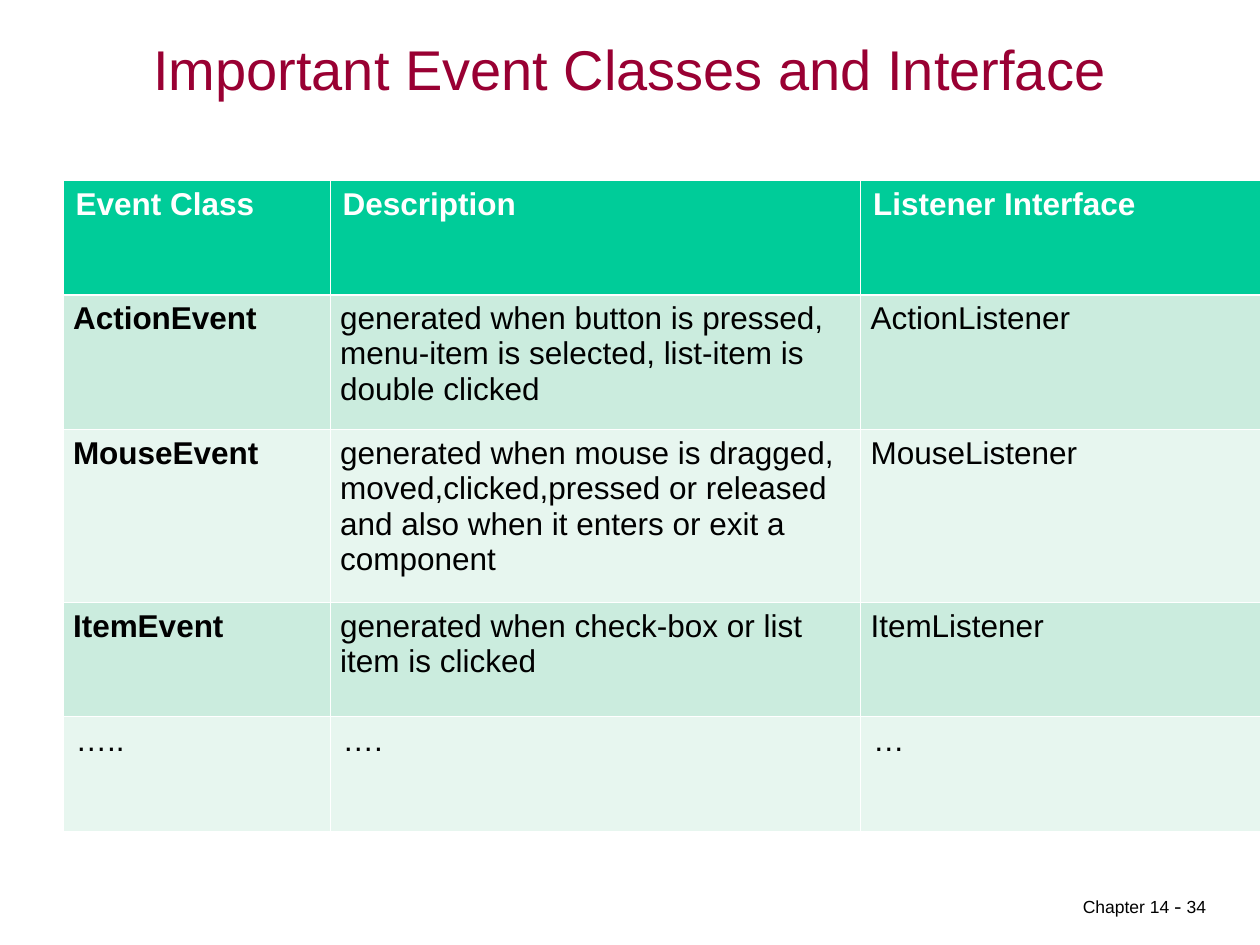
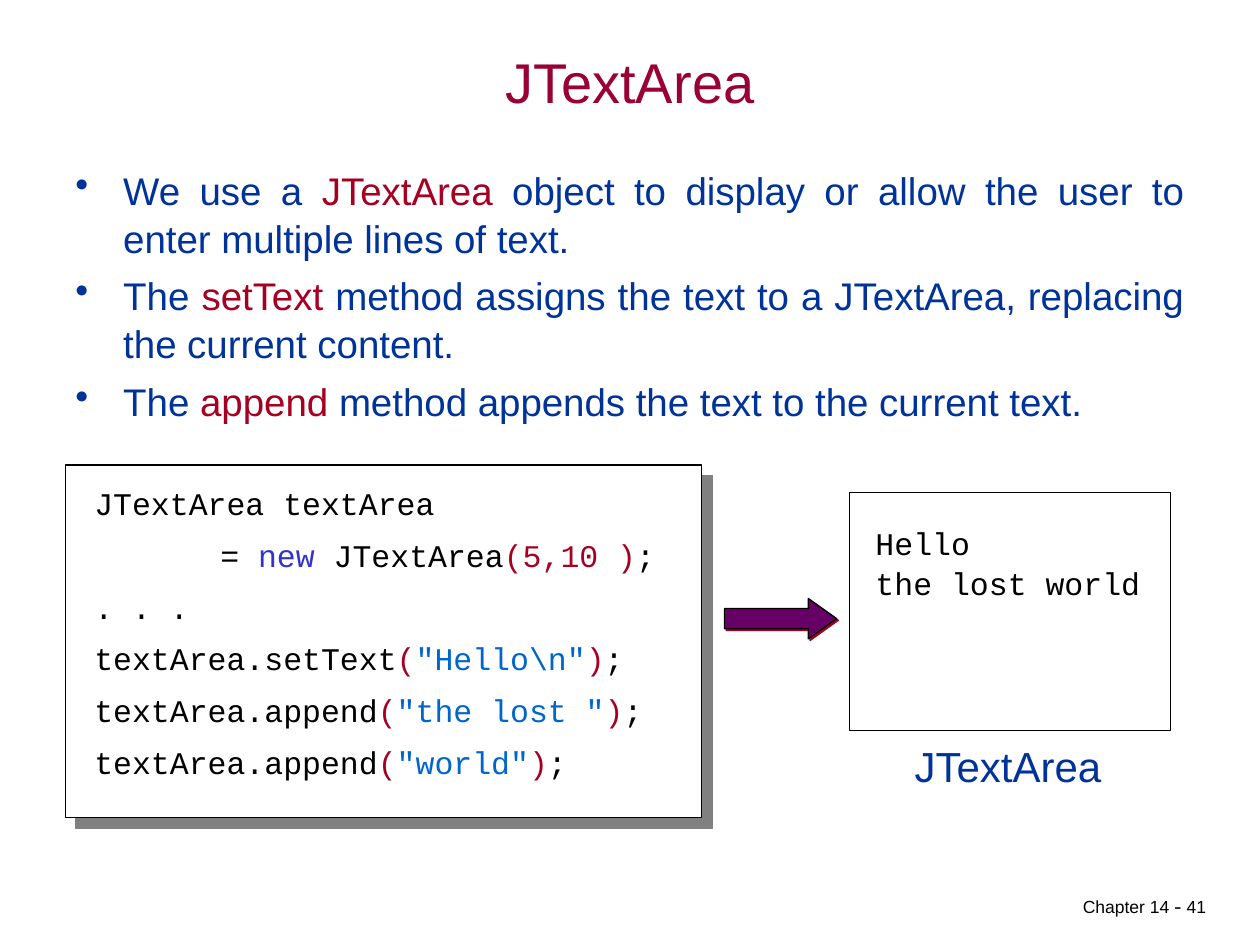
"""Build two slides on Java events: a table of event classes and the JTextArea component."""
from typing import NamedTuple

from lxml import etree
from pptx import Presentation
from pptx import util as u
from pptx.dml.color import RGBColor
from pptx.enum import shapes, text
from pptx.oxml.ns import qn

BLACK, WHITE = "000000", "FFFFFF"
MAROON, NAVY, RED = "990033", "003399", "A50021"
KEYWORD, LITERAL = "3333CC", "0066CC"
HEADER, BANDS = "00CC99", ("CBECDE", "E7F6EF")
SANS, MONO, SERIF = "Arial", "Courier New", "Times New Roman"
ALIGN, ANCHOR = text.PP_ALIGN, text.MSO_ANCHOR


class Box(NamedTuple):
    """Place of an object, in inches."""
    left: float
    top: float
    width: float
    height: float

    def emu(self) -> list:
        """Return the four lengths."""
        return [u.Inches(v) for v in self]


class Run(NamedTuple):
    """Piece of text that may differ from its paragraph's format."""
    words: str
    color: str = ""
    font: str = ""
    size: float = 0


class Shadow(NamedTuple):
    """Hard shadow cast to the lower right."""
    color: str
    distance: float


class Panel(NamedTuple):
    """Outlined preset shape."""
    kind: int
    box: Box
    fill: str = ""
    shadow: Shadow | None = None


def rgb(value: str) -> RGBColor:
    """Turn a hex string into a colour."""
    return RGBColor.from_string(value)


def sub(parent, tag: str, **attrs):
    """Append an XML child with attributes."""
    return etree.SubElement(parent, qn(tag), {k: str(v) for k, v in attrs.items()})


def write(tf, paragraphs, *, size=18, color=BLACK, font=SANS, bold=False, align=ALIGN.LEFT,
          spacing=None, before=0, bullet="", indents=None) -> None:
    """Fill a text frame with paragraphs, each a string or a list of runs."""
    for i, content in enumerate(paragraphs):
        p = tf.paragraphs[0] if i == 0 else tf.add_paragraph()
        p.alignment, p.space_before = align, u.Pt(before)
        if spacing:
            p.line_spacing = spacing
        pPr = p._p.get_or_add_pPr()
        if bullet:
            pPr.set("marL", str(u.Inches(0.38)))
            pPr.set("indent", str(-u.Inches(0.38)))
            sub(sub(pPr, "a:buClr"), "a:srgbClr", val=color)
            sub(pPr, "a:buChar", char=bullet)
        elif indents and i in indents:
            pPr.set("marL", str(u.Inches(indents[i])))
        for run in [Run(content)] if isinstance(content, str) else content:
            r = p.add_run()
            r.text = run.words
            r.font.name, r.font.size = run.font or font, u.Pt(run.size or size)
            r.font.bold = bold
            r.font.color.rgb = rgb(run.color or color)


def add_text(s, box: Box, paragraphs, wrap=True, anchor=ANCHOR.TOP, **fmt) -> None:
    """Add a text box."""
    tf = s.shapes.add_textbox(*box.emu()).text_frame
    tf.word_wrap, tf.vertical_anchor = wrap, anchor
    write(tf, paragraphs, **fmt)


def add_panel(s, panel: Panel):
    """Add an outlined shape with its fill and shadow."""
    sp = s.shapes.add_shape(panel.kind, *panel.box.emu())
    sp.shadow.inherit = False
    sp.line.color.rgb, sp.line.width = rgb(BLACK), u.Pt(0.75)
    if panel.fill:
        sp.fill.solid()
        sp.fill.fore_color.rgb = rgb(panel.fill)
    else:
        sp.fill.background()
    if panel.shadow:
        effects = sp._element.spPr.find(qn("a:effectLst"))
        cast = sub(effects, "a:outerShdw", dist=u.Pt(panel.shadow.distance),
                   dir=45 * 60000, algn="ctr", rotWithShape=0)
        sub(cast, "a:srgbClr", val=panel.shadow.color)
    return sp


def add_slide(prs, title: str, box: Box, number: int):
    """Add a slide with its title and page footer."""
    s = prs.slides.add_slide(prs.slide_layouts[5])
    sp = s.shapes.title
    sp.left, sp.top, sp.width, sp.height = box.emu()
    tf = sp.text_frame
    tf.vertical_anchor, tf.margin_top = ANCHOR.TOP, u.Inches(0.08)
    tf.auto_size = text.MSO_AUTO_SIZE.NONE
    write(tf, [title], size=32, color=MAROON, align=ALIGN.CENTER)
    footer = [Run("Chapter 14"), Run(" - ", font=SERIF, size=12), Run(str(number))]
    add_text(s, Box(7.5, 6.83, 2.17, 0.5), [footer], anchor=ANCHOR.BOTTOM,
             size=10, align=ALIGN.RIGHT)
    return s


def style_cell(cell, fill: str, margin: float, top: float, bottom: float) -> None:
    """Set a cell's white borders, fill and side margins."""
    tcPr = cell._tc.get_or_add_tcPr()
    for side, width in zip("LRTB", (0.45, 0.45, top, bottom)):
        ln = sub(tcPr, f"a:ln{side}", w=u.Pt(width))
        sub(sub(ln, "a:solidFill"), "a:srgbClr", val=WHITE)
    cell.fill.solid()
    cell.fill.fore_color.rgb = rgb(fill)
    cell.margin_left = cell.margin_right = u.Inches(margin)


def event_classes(prs) -> None:
    """Draw the table of event classes."""
    s = add_slide(prs, "Important Event Classes and Interface", Box(0.5, 0.19, 9, 0.79), 34)
    rows = [
        ("Event Class", "Description", "Listener Interface"),
        ("ActionEvent", "generated when button is pressed, menu-item is selected, "
         "list-item is double clicked", "ActionListener"),
        ("MouseEvent", "generated when mouse is dragged, moved,clicked,pressed or released "
         "and also when it enters or exit a component", "MouseListener"),
        ("ItemEvent", "generated when check-box or list item is clicked", "ItemListener"),
        ("…..", "….", "…"),
    ]
    widths, heights = (2.12, 4.21, 3.17), (0.91, 1.07, 1.37, 0.91, 0.91)
    box = Box(0.5, 1.43, sum(widths), sum(heights))
    table = s.shapes.add_table(len(rows), len(widths), *box.emu()).table
    for column, width in zip(table.columns, widths):
        column.width = u.Inches(width)
    last = len(rows) - 1
    for i, (row, height) in enumerate(zip(rows, heights)):
        table.rows[i].height = u.Inches(height)
        for j, words in enumerate(row):
            cell = table.cell(i, j)
            style_cell(cell, BANDS[(i - 1) % 2] if i else HEADER,
                       0.1 if i in (0, last) else 0.08,
                       1.47 if i == 1 else 0.45, 1.47 if i == 0 else 0.45)
            write(cell.text_frame, [words], color=BLACK if i else WHITE,
                  bold=i == 0 or (j == 0 and i < last))


def call(method: str, argument: str) -> list[Run]:
    """Return the coloured code of a method call on textArea."""
    return [Run(f"textArea.{method}"), Run("(", RED), Run(f'"{argument}"', LITERAL),
            Run(")", RED), Run(";")]


def text_area(prs) -> None:
    """Draw the JTextArea bullets, code and result."""
    s = add_slide(prs, "JTextArea", Box(0.5, 0.3, 9, 0.67), 41)
    bullets = [
        [Run("We use a "), Run("JTextArea", RED),
         Run(" object to display or allow the user to enter multiple lines of text.")],
        [Run("The "), Run("setText", RED),
         Run(" method assigns the text to a JTextArea, replacing the current content.")],
        [Run("The "), Run("append", RED),
         Run(" method appends the text to the current text.")],
    ]
    add_text(s, Box(0.5, 1.26, 9, 5.44), bullets, size=22, color=NAVY, align=ALIGN.JUSTIFY,
             spacing=1.04, before=5.5, bullet="•")

    rect = shapes.MSO_SHAPE.RECTANGLE
    add_panel(s, Panel(rect, Box(0.52, 3.69, 5.05, 2.8), WHITE, Shadow("808080", 8.5)))
    code = [
        "JTextArea textArea",
        [Run("= "), Run("new", KEYWORD), Run(" JTextArea"), Run("(5,10 )", RED), Run(";")],
        ". . .",
        call("setText", r"Hello\n"),
        call("append", "the lost "),
        call("append", "world"),
    ]
    add_text(s, Box(0.65, 3.84, 4.86, 2.33), code, font=MONO, spacing=0.85, before=11.2,
             indents={1: 1})

    add_panel(s, Panel(rect, Box(6.74, 3.91, 2.55, 1.89)))
    add_text(s, Box(6.85, 4.09, 2.3, 0.7), ["Hello", "the lost world"], wrap=False,
             font=MONO, spacing=1.06)
    add_text(s, Box(7.16, 5.83, 1.72, 0.5), ["JTextArea"], wrap=False, size=24, color=NAVY)
    arrow = add_panel(s, Panel(shapes.MSO_SHAPE.RIGHT_ARROW, Box(5.75, 4.75, 0.89, 0.32),
                               "660066", Shadow(RED, 1.4)))
    arrow.adjustments[1] = 0.7


def main() -> None:
    """Build and save the deck."""
    prs = Presentation()
    prs.slide_width, prs.slide_height = u.Inches(10), u.Inches(7.5)
    event_classes(prs)
    text_area(prs)
    prs.save("out.pptx")


if __name__ == "__main__":
    main()
